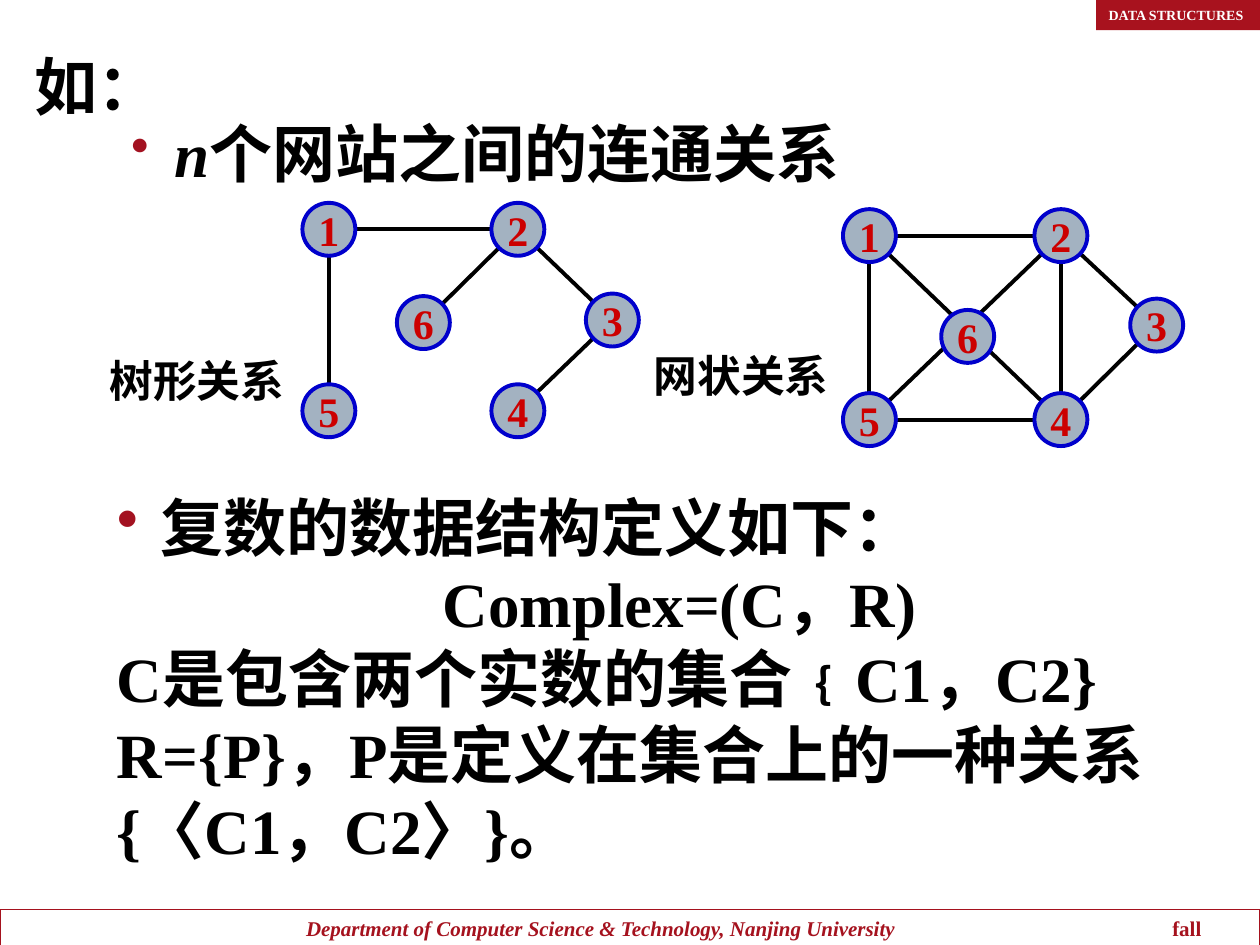
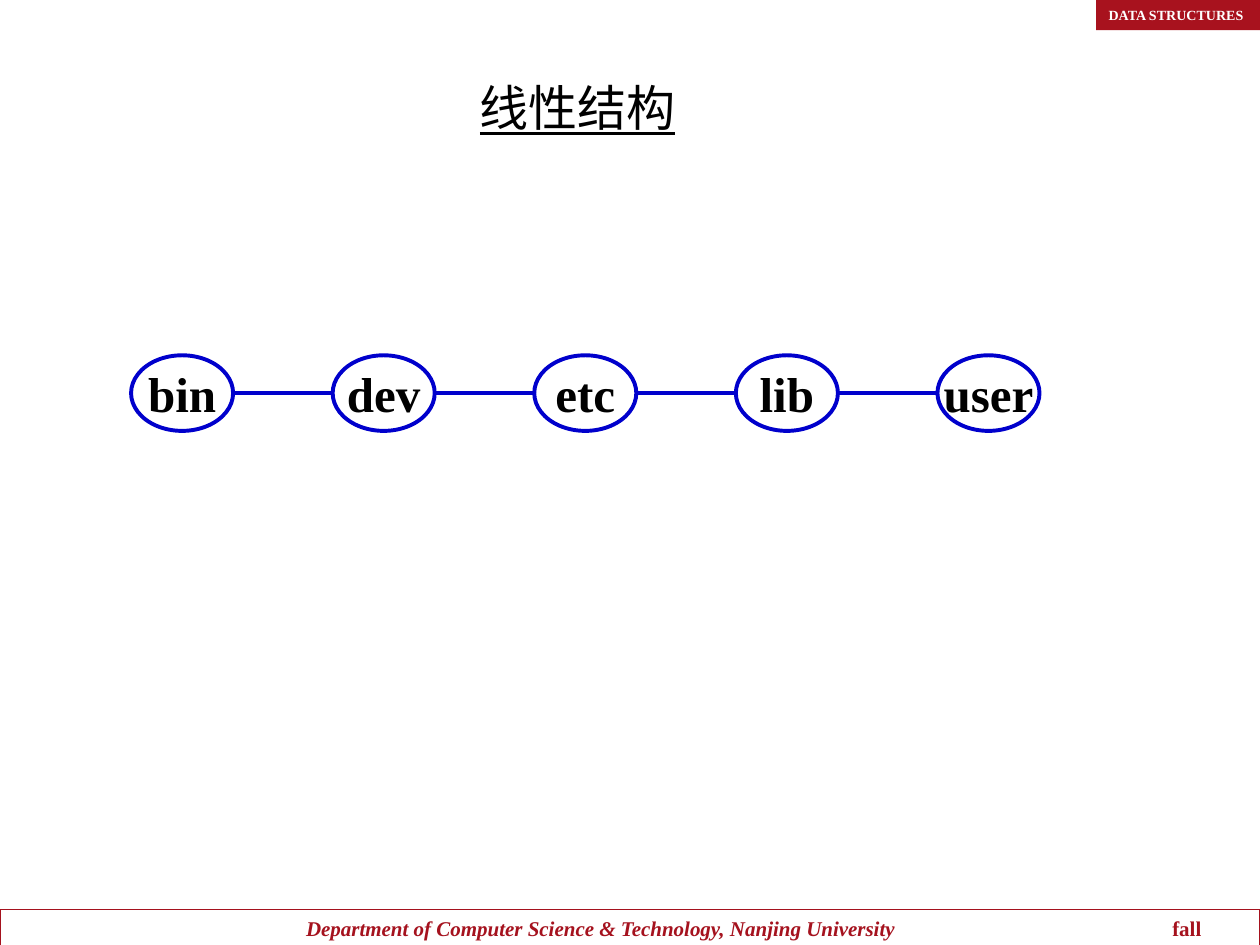
from math import hypot
from lxml.etree import SubElement
from pptx import Presentation
from pptx.dml.color import RGBColor
from pptx.enum.shapes import MSO_CONNECTOR, MSO_SHAPE
from pptx.enum.text import MSO_ANCHOR, MSO_AUTO_SIZE, PP_ALIGN
from pptx.oxml.ns import qn
from pptx.util import Inches, Pt

FONT = "Times New Roman"
TITLE_ONLY = 5
COLORS = {
    "black": "000000",
    "white": "FFFFFF",
    "header": "A8121E",
    "footer": "A5121E",
    "bullet": "A31221",
    "node_fill": "A3B2C1",
    "node_line": "0000CC",
    "node_text": "CC0000",
}
NODE_SIZE = 0.42
TREE_NODES = {
    "1": (0, 0), "2": (1.5, 0), "3": (2.25, 0.72),
    "4": (1.5, 1.44), "5": (0, 1.44), "6": (0.75, 0.74),
}
TREE_EDGES = ["12", "15", "26", "23", "34"]
MESH_NODES = {
    "1": (0, 0), "2": (1.52, 0), "3": (2.28, 0.71),
    "4": (1.52, 1.46), "5": (0, 1.46), "6": (0.78, 0.8),
}
MESH_EDGES = ["12", "15", "14", "25", "24", "23", "34", "54"]


def color(name):
    return RGBColor.from_string(COLORS[name])


def format_run(run, size, color_name="black", bold=True, italic=False):
    font = run.font
    font.name = FONT
    font.size = Pt(size)
    font.bold = bold
    font.italic = italic
    font.color.rgb = color(color_name)


def set_text(shape, paragraphs, size, color_name="black", align=PP_ALIGN.LEFT,
             anchor=MSO_ANCHOR.TOP, inset=(0.1, 0.05), wrap=True, **style):
    frame = shape.text_frame
    frame.text = "\n".join(paragraphs)
    frame.word_wrap = wrap
    frame.auto_size = MSO_AUTO_SIZE.NONE
    frame.vertical_anchor = anchor
    frame.margin_left = frame.margin_right = Inches(inset[0])
    frame.margin_top = frame.margin_bottom = Inches(inset[1])
    for paragraph in frame.paragraphs:
        paragraph.alignment = align
        for run in paragraph.runs:
            format_run(run, size, color_name, **style)
    return frame


def add_text(slide, box, paragraphs, size, **style):
    shape = slide.shapes.add_textbox(*map(Inches, box))
    return set_text(shape, paragraphs, size, **style)


def add_shape(slide, kind, box, fill=None, line=None, width=2.25):
    shape = slide.shapes.add_shape(kind, *map(Inches, box))
    shape.shadow.inherit = False
    if fill:
        shape.fill.solid()
        shape.fill.fore_color.rgb = color(fill)
    else:
        shape.fill.background()
    if line:
        shape.line.color.rgb = color(line)
        shape.line.width = Pt(width)
    else:
        shape.line.fill.background()
    return shape


def add_line(slide, start, end, color_name):
    connector = slide.shapes.add_connector(
        MSO_CONNECTOR.STRAIGHT, *map(Inches, (*start, *end)))
    connector.line.color.rgb = color(color_name)
    connector.line.width = Pt(2.25)
    SubElement(connector.element.spPr, qn("a:effectLst"))


def add_bullet(paragraph, indent):
    properties = paragraph._p.get_or_add_pPr()
    properties.set("marL", str(Inches(indent)))
    properties.set("indent", str(-Inches(indent)))
    bullet_color = SubElement(properties, qn("a:buClr"))
    SubElement(bullet_color, qn("a:srgbClr"), val=COLORS["bullet"])
    SubElement(properties, qn("a:buChar"), char="•")


def add_header(slide, box):
    band = add_shape(slide, MSO_SHAPE.RECTANGLE, box, fill="header")
    set_text(band, ["DATA STRUCTURES"], 8, "white", anchor=MSO_ANCHOR.MIDDLE,
             inset=(0.1, 0), wrap=False)


def add_footer(slide, box):
    left, top, width, height = box
    add_shape(slide, MSO_SHAPE.RECTANGLE, box, line="footer", width=0.75)
    shared = dict(color_name="footer", align=PP_ALIGN.CENTER,
                  anchor=MSO_ANCHOR.MIDDLE, inset=(0, 0))
    add_text(slide, (left + 2, top, width - 4.46, height),
             ["Department of Computer Science & Technology, Nanjing University"],
             12, italic=True, **shared)
    add_text(slide, (left + 9.12, top, 0.6, height), ["fall"], 12, **shared)


def add_titled_slide(presentation, title, box, size, **style):
    slide = presentation.slides.add_slide(presentation.slide_layouts[TITLE_ONLY])
    placeholder = slide.shapes.title
    placeholder.left, placeholder.top, placeholder.width, placeholder.height = map(Inches, box)
    set_text(placeholder, [title], size, **style)
    add_header(slide, (8.7, 0, 1.3, 0.24))
    add_footer(slide, (0, 7.22, 10, 0.3))
    return slide


def add_graph(slide, origin, nodes, edges):
    radius = NODE_SIZE / 2
    corners = {name: (origin[0] + x, origin[1] + y) for name, (x, y) in nodes.items()}
    for first, second in edges:
        (x1, y1), (x2, y2) = [
            (x + radius, y + radius) for x, y in (corners[first], corners[second])]
        share = radius / hypot(x2 - x1, y2 - y1)
        dx, dy = (x2 - x1) * share, (y2 - y1) * share
        add_line(slide, (x1 + dx, y1 + dy), (x2 - dx, y2 - dy), "black")
    for name, corner in corners.items():
        node = add_shape(slide, MSO_SHAPE.OVAL, (*corner, NODE_SIZE, NODE_SIZE),
                         fill="node_fill", line="node_line")
        set_text(node, [name], 24, "node_text", align=PP_ALIGN.CENTER,
                 anchor=MSO_ANCHOR.MIDDLE, inset=(0, 0), wrap=False)


def add_website_point(slide, box):
    frame = add_text(slide, box, [""], 36, inset=(0.12, 0.06))
    paragraph = frame.paragraphs[0]
    for text, size, bold, italic in [
        (" ", 30, False, False),
        ("n", 36, True, True),
        ("个网站之间的连通关系", 36, True, False),
    ]:
        run = paragraph.add_run()
        run.text = text
        format_run(run, size, bold=bold, italic=italic)
    add_bullet(paragraph, 0.24)


def add_complex_definition(slide, box):
    frame = add_text(slide, box, [
        " 复数的数据结构定义如下：",
        " Complex=(C，R)",
        "C是包含两个实数的集合﹛C1，C2}",
        "R={P}，P是定义在集合上的一种关系{〈C1，C2〉}。",
    ], 36)
    add_bullet(frame.paragraphs[0], 0.23)
    frame.paragraphs[1].alignment = PP_ALIGN.CENTER


def add_chain(slide, box, names, pitch):
    left, top, width, height = box
    middle = top + height / 2
    for index, name in enumerate(names):
        x = left + index * pitch
        node = add_shape(slide, MSO_SHAPE.OVAL, (x, top, width, height), line="node_line")
        set_text(node, [name], 28, align=PP_ALIGN.CENTER,
                 anchor=MSO_ANCHOR.MIDDLE, inset=(0, 0), wrap=False)
        if index:
            add_line(slide, (x - pitch + width, middle), (x, middle), "node_line")


def build_examples_slide(presentation):
    slide = add_titled_slide(presentation, "如：", (0.17, 0.33, 4, 0.7), 36)
    add_website_point(slide, (0.92, 0.85, 5.9, 0.72))
    add_graph(slide, (2.4, 1.61), TREE_NODES, TREE_EDGES)
    add_graph(slide, (6.69, 1.66), MESH_NODES, MESH_EDGES)
    for label, left, top in [("树形关系", 0.75, 2.75), ("网状关系", 5.07, 2.71)]:
        add_text(slide, (left, top, 1.63, 0.54), [label], 25,
                 inset=(0.12, 0.06), wrap=False)
    add_complex_definition(slide, (0.83, 3.83, 9, 3.1))


def build_linear_slide(presentation):
    slide = add_titled_slide(presentation, "线性结构", (0.75, 0.36, 7.67, 0.97), 28,
                             align=PP_ALIGN.CENTER, anchor=MSO_ANCHOR.MIDDLE, bold=False)
    slide.shapes.title.text_frame.paragraphs[0].runs[0].font.underline = True
    add_chain(slide, (1.04, 2.82, 0.81, 0.6), ["bin", "dev", "etc", "lib", "user"], 1.6)


def main():
    presentation = Presentation()
    presentation.slide_width = Inches(10)
    presentation.slide_height = Inches(7.5)
    build_examples_slide(presentation)
    build_linear_slide(presentation)
    presentation.save("out.pptx")


if __name__ == "__main__":
    main()
